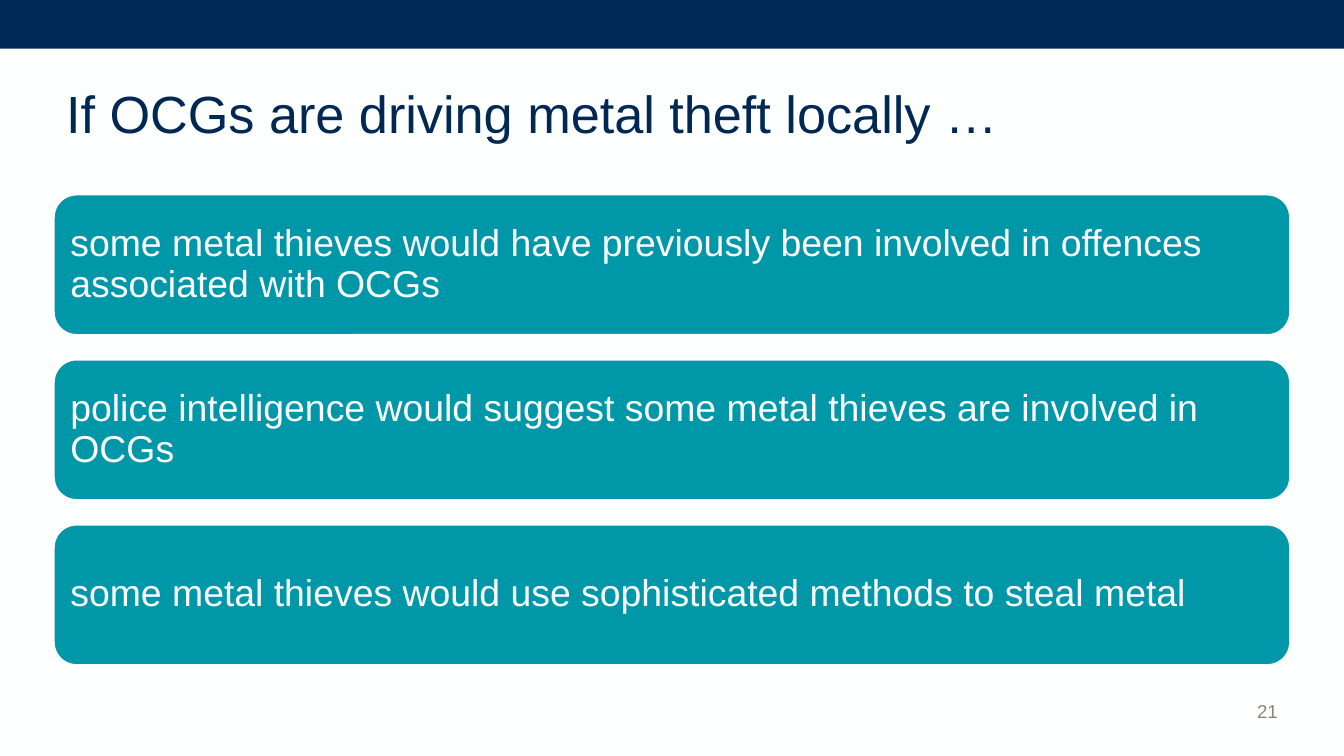
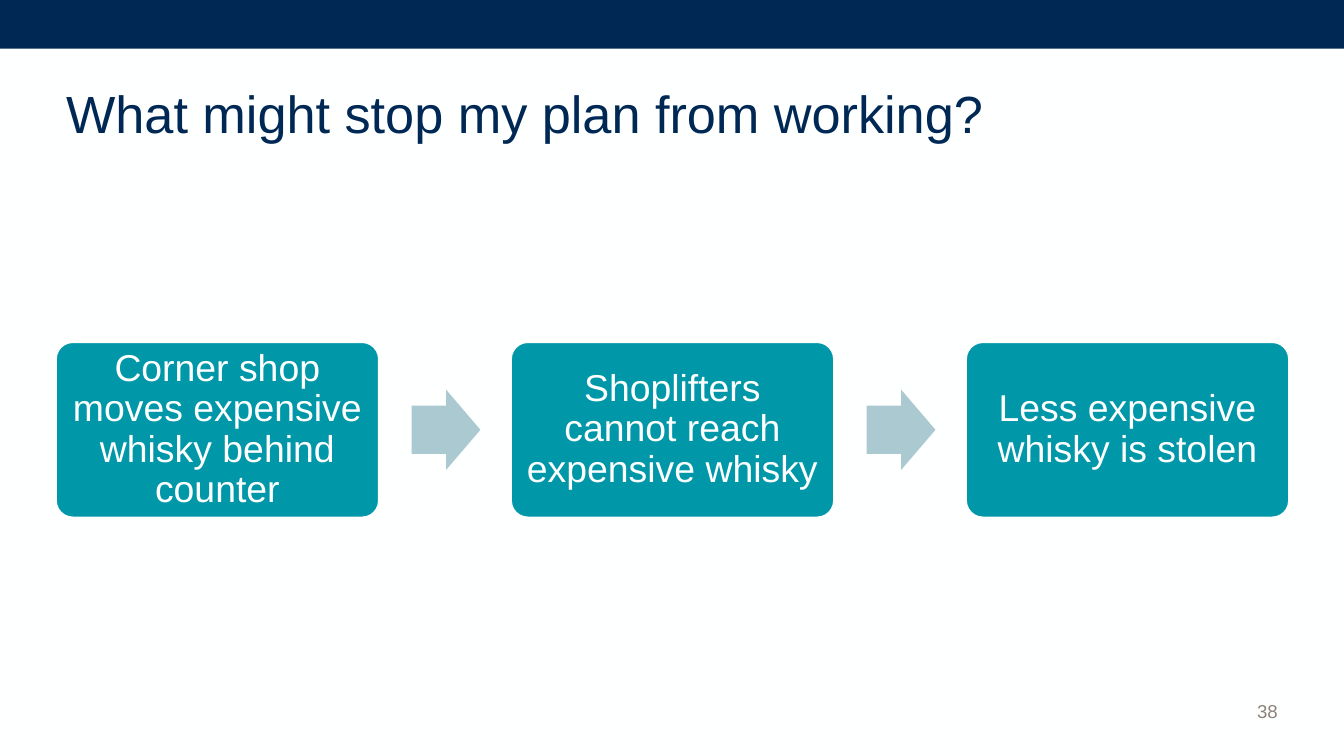
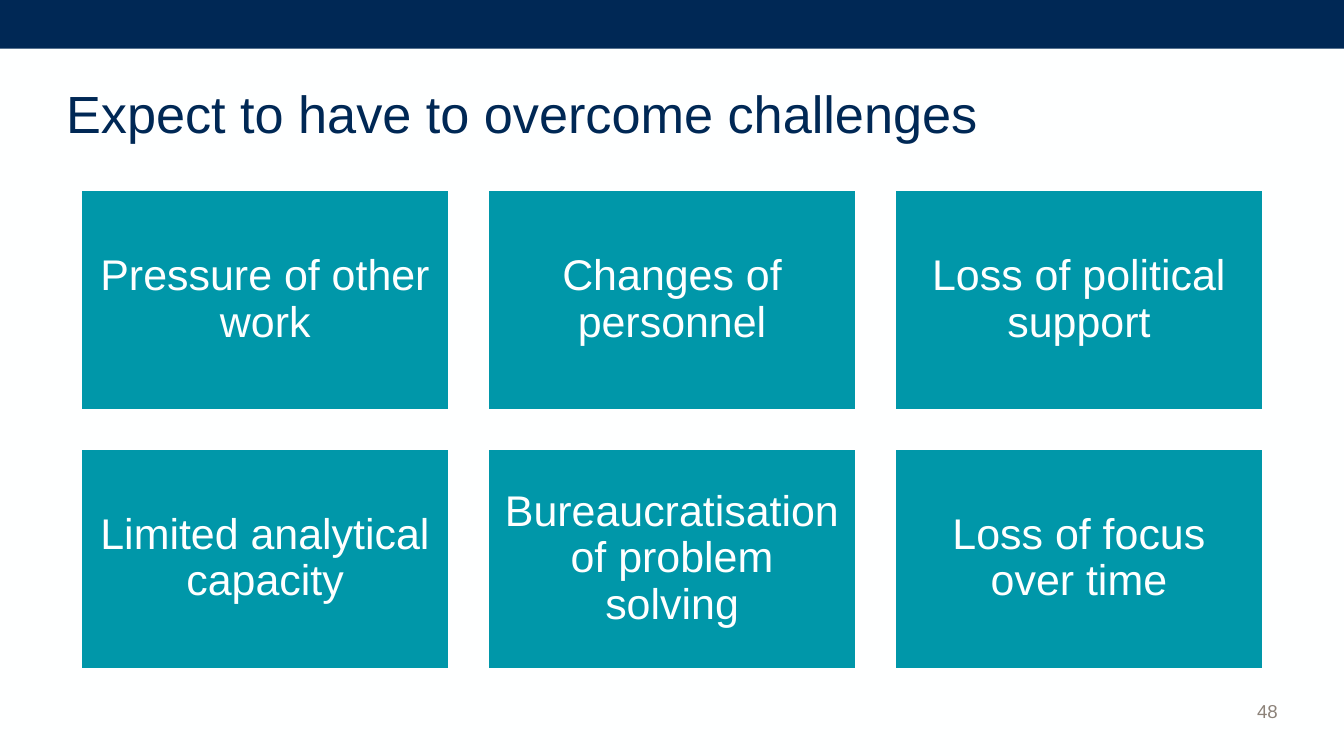
from pptx import Presentation
from pptx import util as u
from pptx.dml.color import RGBColor
from pptx.enum import shapes, text

# Shared style
NAVY = RGBColor(0x00, 0x28, 0x55)
TEAL = RGBColor(0x00, 0x97, 0xA9)
PALE_BLUE = RGBColor(0xAB, 0xC9, 0xD1)
GREY = RGBColor(0x8C, 0x82, 0x79)
WHITE = RGBColor(0xFE, 0xFF, 0xFF)
FONT = "Arial"
WIDTH, HEIGHT = 25.4, 14.29
TITLE_ONLY = 5

LEFT, CENTER, RIGHT = text.PP_ALIGN.LEFT, text.PP_ALIGN.CENTER, text.PP_ALIGN.RIGHT
MIDDLE, BOTTOM = text.MSO_ANCHOR.MIDDLE, text.MSO_ANCHOR.BOTTOM
RECTANGLE = shapes.MSO_SHAPE.RECTANGLE
ROUNDED = shapes.MSO_SHAPE.ROUNDED_RECTANGLE
ARROW = shapes.MSO_SHAPE.RIGHT_ARROW


def write_text(frame, content, *, size, color, align=LEFT, anchor=MIDDLE,
               margins=(0.25, 0.13), spacing=None):
    """Fill a text frame with one formatted paragraph; margins are (side, top) in cm."""
    frame.word_wrap = True
    frame.auto_size = text.MSO_AUTO_SIZE.NONE
    frame.vertical_anchor = anchor
    frame.margin_left = frame.margin_right = u.Cm(margins[0])
    frame.margin_top = frame.margin_bottom = u.Cm(margins[1])
    paragraph = frame.paragraphs[0]
    paragraph.alignment = align
    paragraph.line_spacing = spacing
    run = paragraph.add_run()
    run.text = content
    run.font.name = FONT
    run.font.size = u.Pt(size)
    run.font.color.rgb = color


class Deck:
    """Holds the presentation, its style and the current slide."""

    def __init__(self):
        self.presentation = Presentation()
        self.presentation.slide_width = u.Cm(WIDTH)
        self.presentation.slide_height = u.Cm(HEIGHT)
        background = self.presentation.slide_master.background.fill
        background.solid()
        background.fore_color.rgb = WHITE
        self.slide = None

    def new_slide(self, title, number):
        layout = self.presentation.slide_layouts[TITLE_ONLY]
        self.slide = self.presentation.slides.add_slide(layout)
        self.shape(RECTANGLE, 0, 0, WIDTH, 0.92, fill=NAVY)
        self.title(title)
        self.page_number(number)

    def title(self, content):
        placeholder = self.slide.shapes.title
        placeholder.left, placeholder.top = u.Cm(1), u.Cm(1)
        placeholder.width, placeholder.height = u.Cm(23.4), u.Cm(2.49)
        write_text(placeholder.text_frame, content, size=28, color=NAVY,
                   spacing=u.Pt(27))

    def page_number(self, number):
        box = self.slide.shapes.add_textbox(u.Cm(22.4), u.Cm(12.67), u.Cm(2), u.Cm(1.12))
        write_text(box.text_frame, str(number), size=10, color=GREY,
                   align=RIGHT, anchor=BOTTOM)

    def shape(self, kind, left, top, width, height, *, fill, outline=None, adjustments=()):
        shape = self.slide.shapes.add_shape(
            kind, u.Cm(left), u.Cm(top), u.Cm(width), u.Cm(height))
        shape.shadow.inherit = False
        shape.fill.solid()
        shape.fill.fore_color.rgb = fill
        if outline is None:
            shape.line.fill.background()
        else:
            shape.line.color.rgb = outline
            shape.line.width = u.Pt(2)
        for index, value in enumerate(adjustments):
            shape.adjustments[index] = value
        return shape

    def card(self, kind, content, left, top, width, height, *, size=20,
             align=CENTER, margin=0.2, adjustments=()):
        card = self.shape(kind, left, top, width, height, fill=TEAL, outline=WHITE,
                          adjustments=adjustments)
        write_text(card.text_frame, content, size=size, color=WHITE, align=align,
                   margins=(margin, margin), spacing=0.9)

    def arrow(self, left, top, width, height):
        self.shape(ARROW, left, top, width, height, fill=PALE_BLUE, adjustments=(0.6, 0.5))


def add_expectations(deck):
    deck.new_slide("If OCGs are driving metal theft locally …", 21)
    expectations = [
        "some metal thieves would have previously been involved in offences "
        "associated with OCGs",
        "police intelligence would suggest some metal thieves are involved in OCGs",
        "some metal thieves would use sophisticated methods to steal metal",
    ]
    for row, expectation in enumerate(expectations):
        deck.card(ROUNDED, expectation, 1, 3.66 + row * 3.12, 23.4, 2.69, align=LEFT)


def add_plan_steps(deck):
    deck.new_slide("What might stop my plan from working?", 38)
    steps = [
        "Corner shop moves expensive whisky behind counter",
        "Shoplifters cannot reach expensive whisky",
        "Less expensive whisky is stolen",
    ]
    top, width, height, pitch = 6.45, 6.14, 3.35, 8.6
    arrow_width, arrow_height = 1.3, 1.52
    for column, step in enumerate(steps):
        left = 1.04 + column * pitch
        # Each arrow leads from the card before it
        if column:
            deck.arrow(left - pitch + width + 0.6, top + (height - arrow_height) / 2,
                       arrow_width, arrow_height)
        deck.card(ROUNDED, step, left, top, width, height, adjustments=(0.1,))


def add_challenges(deck):
    deck.new_slide("Expect to have to overcome challenges", 48)
    challenges = [
        "Pressure of other work", "Changes of personnel", "Loss of political support",
        "Limited analytical capacity", "Bureaucratisation of problem solving",
        "Loss of focus over time",
    ]
    width, height, gap = 6.99, 4.19, 0.7
    for index, challenge in enumerate(challenges):
        row, column = divmod(index, 3)
        deck.card(RECTANGLE, challenge, 1.52 + column * (width + gap),
                  3.58 + row * (height + gap), width, height, size=23, margin=0.25)


def main():
    deck = Deck()
    add_expectations(deck)
    add_plan_steps(deck)
    add_challenges(deck)
    deck.presentation.save("out.pptx")


if __name__ == "__main__":
    main()
